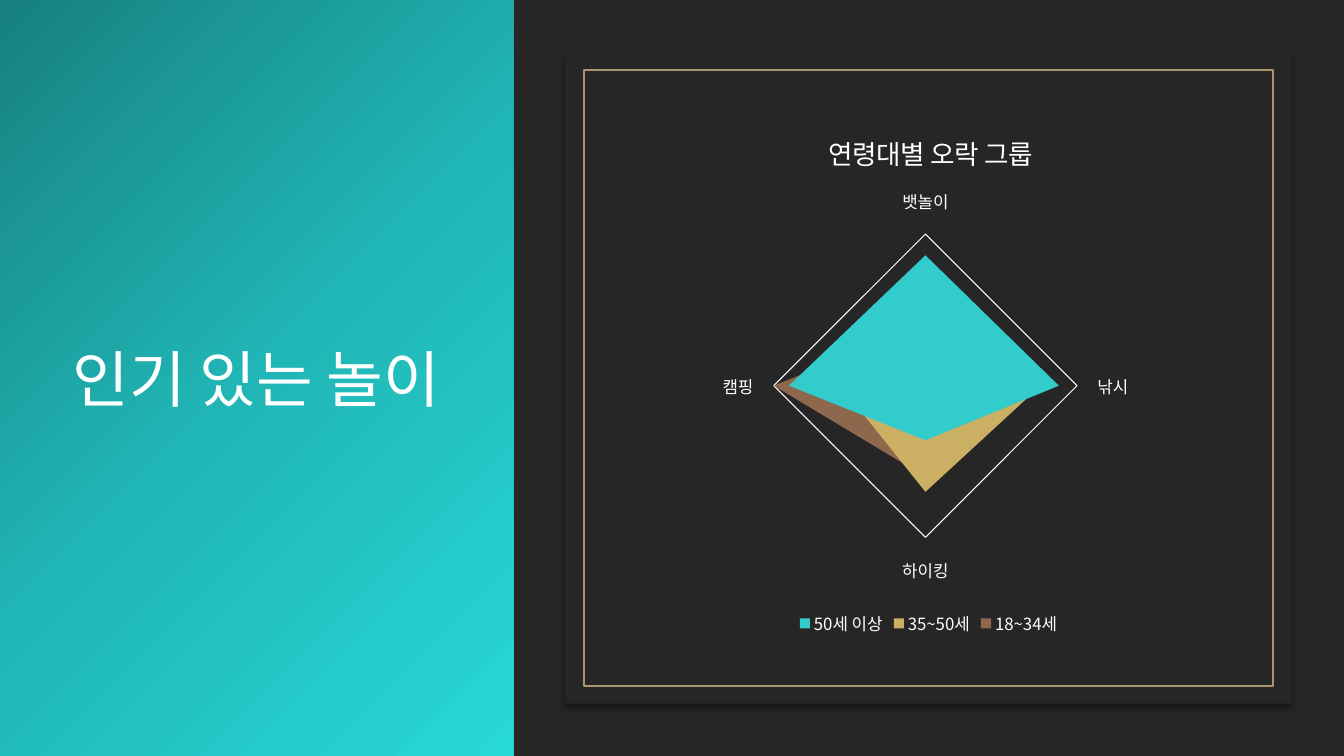
from lxml import etree
from pptx import Presentation
from pptx.chart.data import CategoryChartData
from pptx.dml.color import RGBColor
from pptx.enum.chart import XL_CHART_TYPE, XL_LEGEND_POSITION, XL_TICK_MARK
from pptx.enum.shapes import MSO_SHAPE
from pptx.enum.text import MSO_ANCHOR, PP_ALIGN
from pptx.oxml import parse_xml
from pptx.oxml.ns import qn
from pptx.util import Cm, Pt

RADAR = XL_CHART_TYPE.RADAR_FILLED
BOTTOM = XL_LEGEND_POSITION.BOTTOM
NO_TICK = XL_TICK_MARK.NONE
RECT = MSO_SHAPE.RECTANGLE
MIDDLE = MSO_ANCHOR.MIDDLE
CENTER = PP_ALIGN.CENTER

FONT = "Noto Sans CJK KR"
DARK, WHITE, GOLD = "262626", "FFFFFF", "AB946B"
TEALS = [(0, "178080"), (50, "21B6B6"), (100, "28D7D7")]
DRAW_NS = 'xmlns:a="http://schemas.openxmlformats.org/drawingml/2006/main"'

CATS = ["뱃놀이", "낚시", "하이킹", "캠핑"]
AGES = [
    ("50세 이상", (86, 88, 36, 90), "33CCCC"),
    ("35~50세", (48, 76, 70, 56), "CBAF62"),
    ("18~34세", (40, 40, 60, 100), "8E684C"),
]


def paint(color, hue):
    color.rgb = RGBColor.from_string(hue)


def style(font, size, hue=WHITE):
    font.size = Pt(size)
    font.bold = False
    font.name = FONT
    paint(font.color, hue)
    east = etree.SubElement(font._rPr, qn("a:ea"))
    east.set("typeface", FONT)


def write(frame, text, size=12, hue=WHITE, align=CENTER):
    para = frame.paragraphs[0]
    para.alignment = align
    run = para.add_run()
    run.text = text
    style(run.font, size, hue)


def place(parent, x, y, w=None, h=None):
    """Fix a chart part by fractions of the chart area."""
    old = parent.find(qn("c:layout"))
    if old is not None:
        parent.remove(old)
    layout = etree.Element(qn("c:layout"))
    box = etree.SubElement(layout, qn("c:manualLayout"))
    if w:
        etree.SubElement(box, qn("c:layoutTarget")).set("val", "inner")
    for tag in ("xMode", "yMode"):
        etree.SubElement(box, qn("c:" + tag)).set("val", "edge")
    for tag, part in zip("xywh", (x, y, w, h)):
        if part:
            etree.SubElement(box, qn("c:" + tag)).set("val", str(part))
    text = parent.find(qn("c:tx"))
    parent.insert(0 if text is None else 1, layout)


class Deck:
    def __init__(self, width, height):
        self.prs = Presentation()
        self.prs.slide_width, self.prs.slide_height = Cm(width), Cm(height)
        self.slide = self.prs.slides.add_slide(self.prs.slide_layouts[5])
        back = self.slide.background.fill
        back.solid()
        paint(back.fore_color, DARK)

    def title(self, text, box, stops, angle):
        shape = self.slide.shapes.title
        shape.left, shape.top, shape.width, shape.height = map(Cm, box)
        marks = "".join(
            f'<a:gs pos="{pos * 1000}"><a:srgbClr val="{hue}"/></a:gs>'
            for pos, hue in stops)
        shape._element.spPr.append(parse_xml(
            f'<a:gradFill {DRAW_NS} rotWithShape="1"><a:gsLst>{marks}</a:gsLst>'
            f'<a:lin ang="{angle * 60000}" scaled="0"/></a:gradFill>'))
        shape.text_frame.vertical_anchor = MIDDLE
        shape.text_frame.word_wrap = True
        write(shape.text_frame, text, size=44)

    def rect(self, box, fill=None, line=None, shadow=False):
        shape = self.slide.shapes.add_shape(RECT, *map(Cm, box))
        shape.shadow.inherit = False
        if fill:
            shape.fill.solid()
            paint(shape.fill.fore_color, fill)
        else:
            shape.fill.background()
        if line:
            paint(shape.line.color, line)
            shape.line.width = Pt(1.25)
        else:
            shape.line.fill.background()
        if shadow:
            shape._element.spPr.find(qn("a:effectLst")).append(parse_xml(
                f'<a:outerShdw {DRAW_NS} blurRad="{Pt(4)}" dist="{Pt(3)}" '
                'dir="5400000"><a:srgbClr val="000000"><a:alpha val="40000"/>'
                '</a:srgbClr></a:outerShdw>'))

    def radar(self, box, head, cats, rows):
        data = CategoryChartData()
        data.categories = cats
        for name, vals, _ in rows:
            data.add_series(name, vals)
        chart = self.slide.shapes.add_chart(RADAR, *map(Cm, box), data).chart
        style(chart.font, 10)
        for series, (_, _, hue) in zip(chart.plots[0].series, rows):
            series.format.fill.solid()
            paint(series.format.fill.fore_color, hue)
            series.format.line.fill.background()

        # Heading and legend
        chart.has_title = True
        write(chart.chart_title.text_frame, head, size=19)
        chart.chart_title.include_in_layout = False
        place(chart.chart_title._element, 0.33, 0.04)
        chart.has_legend = True
        chart.legend.position = BOTTOM
        chart.legend.include_in_layout = False
        style(chart.legend.font, 12)

        # Axes: only the outer ring of the grid shows
        names, scale = chart.category_axis, chart.value_axis
        style(names.tick_labels.font, 12)
        names.major_tick_mark = NO_TICK
        names.format.line.fill.background()
        scale.minimum_scale, scale.maximum_scale = 0, 100
        scale.major_unit = 100
        scale.visible = False
        for axis in (names, scale):
            axis.has_major_gridlines = True
            grid = axis.major_gridlines.format.line
            paint(grid.color, WHITE)
            grid.width = Pt(0.75)
        place(chart._chartSpace.chart.plotArea, 0.25, 0.24, 0.49, 0.57)


def main():
    deck = Deck(33.87, 19.05)
    # Left panel with the title
    deck.title("인기 있는 놀이", (0, 0, 12.94, 19.05), TEALS, 45)
    # Right panel and its gold frame
    deck.rect((14.25, 1.3, 18.29, 16.43), fill=DARK, shadow=True)
    deck.rect((14.71, 1.76, 17.37, 15.52), line=GOLD)
    # Chart by age group
    deck.radar((15.6, 2.64, 15.6, 13.49), "연령대별 오락 그룹", CATS, AGES)
    deck.prs.save("out.pptx")


if __name__ == "__main__":
    main()
